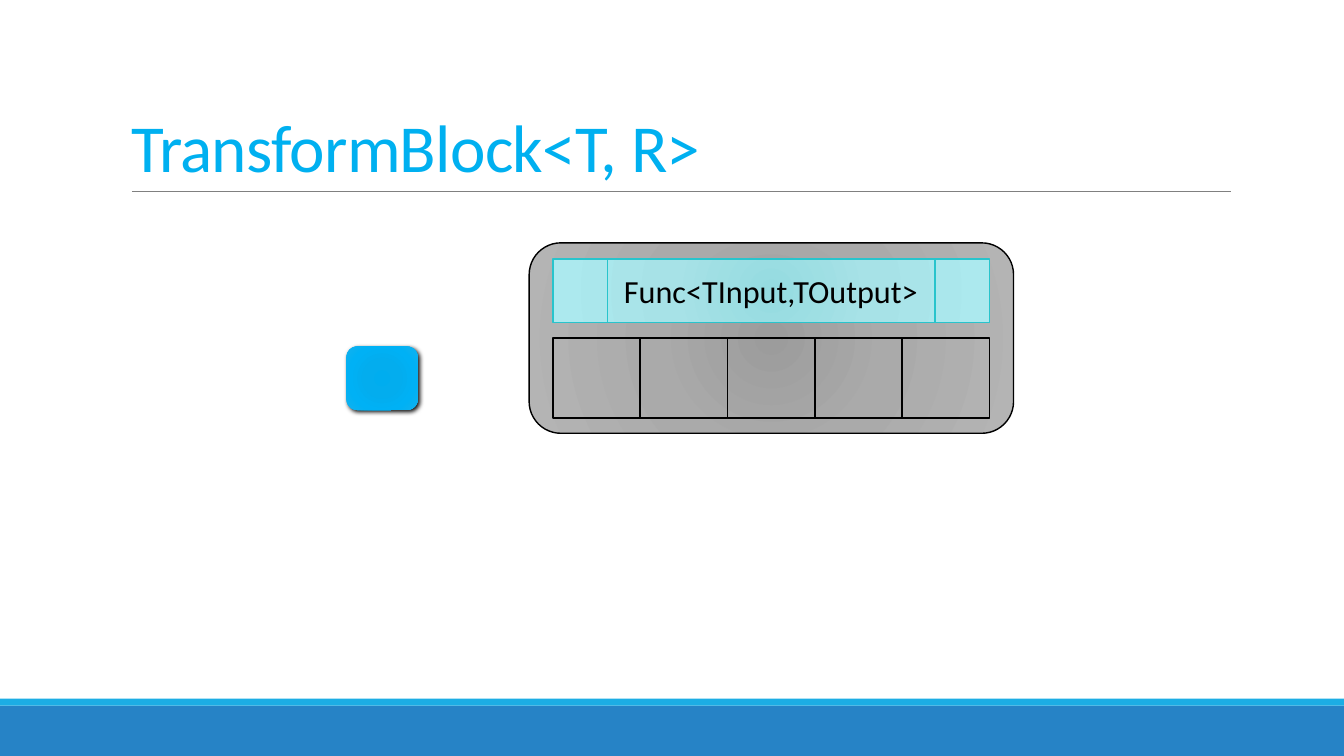
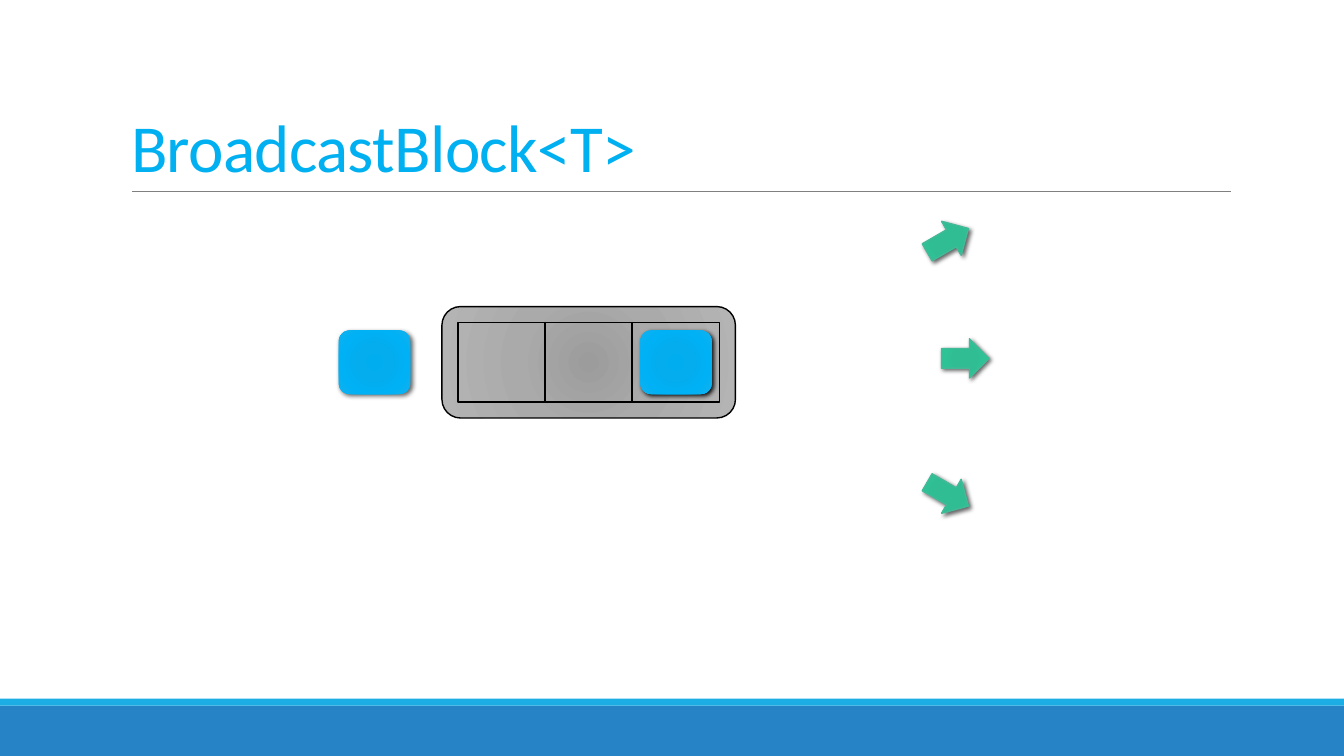
from pptx import Presentation
from pptx.dml.color import RGBColor
from pptx.enum.shapes import MSO_CONNECTOR, MSO_SHAPE
from pptx.enum.text import MSO_ANCHOR, PP_ALIGN
from pptx.oxml import parse_xml
from pptx.oxml.ns import nsdecls, qn
from pptx.util import Pt

FONT = "Calibri"
COLORS = {
    "title": "00B0F0",
    "rule": "808080",
    "footer": "2683C6",
    "stripe": "1CADE4",
    "outline": "000000",
    "func": "28C4CC",
    "arrow": "42BA97",
}
GRADIENTS = {
    "panel": [(0, "9C9C9C"), (45, "AAAAAA"), (100, "B4B4B4")],
    "func": [(0, "95DBE0"), (45, "A7E2E7"), (100, "ACE9EE")],
    "message": [(0, "00ADEF"), (34, "03ADEE"), (70, "00B1F5"), (100, "12B1EE")],
    "arrow": [(0, "2DBE94"), (34, "30BD94"), (70, "2EC397"), (100, "3CC09A")],
}
WIDTH, HEIGHT = 960, 540
CELL_W, CELL_H = 62.35, 57
MESSAGE_W, MESSAGE_H = 51, 45.4
ARROW_W, ARROW_H = 34, 28


def rgb(name):
    return RGBColor.from_string(COLORS[name])


def add_box(s, kind, left, top, width, height, fill=None, line=None, line_width=1):
    sp = s.shapes.add_shape(kind, Pt(left), Pt(top), Pt(width), Pt(height))
    sp.shadow.inherit = False
    if fill:
        sp.fill.solid()
        sp.fill.fore_color.rgb = rgb(fill)
    else:
        sp.fill.background()
    if line:
        sp.line.color.rgb = rgb(line)
        sp.line.width = Pt(line_width)
    else:
        sp.line.fill.background()
    return sp


def set_radial_fill(sp, name):
    """Replace the empty fill of a shape with a circular gradient."""
    stops = "".join(
        f'<a:gs pos="{pos * 1000}"><a:srgbClr val="{color}"/></a:gs>'
        for pos, color in GRADIENTS[name]
    )
    gradient = parse_xml(
        f'<a:gradFill {nsdecls("a")} rotWithShape="1"><a:gsLst>{stops}</a:gsLst>'
        '<a:path path="circle"><a:fillToRect l="100000" t="100000" r="100000" b="100000"/>'
        "</a:path></a:gradFill>"
    )
    spPr = sp.element.spPr
    spPr.replace(spPr.find(qn("a:noFill")), gradient)


def set_shadow(sp, blur, opacity=60):
    effects = sp.element.spPr.find(qn("a:effectLst"))
    effects.append(parse_xml(
        f'<a:outerShdw {nsdecls("a")} blurRad="{Pt(blur)}" dist="{Pt(2)}" dir="2700000" '
        f'algn="ctr" rotWithShape="0"><a:srgbClr val="000000">'
        f'<a:alpha val="{opacity * 1000}"/></a:srgbClr></a:outerShdw>'
    ))


def write(tf, text, size, color, anchor):
    tf.word_wrap = True
    tf.vertical_anchor = anchor
    p = tf.paragraphs[0]
    r = p.add_run()
    r.text = text
    r.font.name = FONT
    r.font.size = Pt(size)
    r.font.color.rgb = rgb(color)
    return p, r


def add_rule(s, left, right, y):
    rule = s.shapes.add_connector(MSO_CONNECTOR.STRAIGHT, Pt(left), Pt(y), Pt(right), Pt(y))
    rule.line.color.rgb = rgb("rule")
    rule.line.width = Pt(0.5)
    rule.element.spPr.append(parse_xml(f'<a:effectLst {nsdecls("a")}/>'))


def add_slide(prs, title):
    """Add a slide with the footer bands, title and title rule."""
    s = prs.slides.add_slide(prs.slide_layouts[6])
    add_box(s, MSO_SHAPE.RECTANGLE, 0, 504, WIDTH, 36, fill="footer")
    add_box(s, MSO_SHAPE.RECTANGLE, 0, 499, WIDTH, 5, fill="stripe")
    add_rule(s, 94.3, 879, 136.8)
    box = s.shapes.add_textbox(Pt(86.6), Pt(22.5), Pt(792), Pt(114.3))
    p, r = write(box.text_frame, title, 48, "title", MSO_ANCHOR.BOTTOM)
    p.line_spacing = 0.85
    r.font._element.set("spc", "-50")
    return s


def add_panel(s, left, top, width, height):
    sp = add_box(s, MSO_SHAPE.ROUNDED_RECTANGLE, left, top, width, height, line="outline")
    set_radial_fill(sp, "panel")


def add_queue(s, left, top, count):
    for i in range(count):
        add_box(s, MSO_SHAPE.RECTANGLE, left + i * CELL_W, top, CELL_W, CELL_H,
                line="outline", line_width=1.25)


def add_func(s, left, top, width, height, text):
    sp = add_box(s, MSO_SHAPE.FLOWCHART_PREDEFINED_PROCESS, left, top, width, height, line="func")
    set_radial_fill(sp, "func")
    p, _ = write(sp.text_frame, text, 23, "outline", MSO_ANCHOR.MIDDLE)
    p.alignment = PP_ALIGN.CENTER


def add_message(s, left, top, shadow_opacity=60):
    sp = add_box(s, MSO_SHAPE.ROUNDED_RECTANGLE, left, top, MESSAGE_W, MESSAGE_H)
    set_radial_fill(sp, "message")
    set_shadow(sp, 3.5, shadow_opacity)


def add_arrow(s, left, top, rotation):
    sp = add_box(s, MSO_SHAPE.RIGHT_ARROW, left, top, ARROW_W, ARROW_H, line="arrow")
    sp.rotation = rotation
    set_radial_fill(sp, "arrow")
    set_shadow(sp, 3)


def build_transform(prs):
    s = add_slide(prs, "TransformBlock<T, R>")
    queue_left, cells = 395, 5
    add_panel(s, 378, 173.5, 346, 136)
    add_queue(s, queue_left, 241.6, cells)
    add_func(s, queue_left, 185, cells * CELL_W, 45.4, "Func<TInput,TOutput>")
    add_message(s, 247.5, 247.5, shadow_opacity=94)


def build_broadcast(prs):
    s = add_slide(prs, "BroadcastBlock<T>")
    queue_left, queue_top, cells, pad = 327, 230.3, 3, 11.3
    add_panel(s, queue_left - pad, queue_top - pad,
              cells * CELL_W + 2 * pad, CELL_H + 2 * pad)
    add_queue(s, queue_left, queue_top, cells)
    message_top = queue_top + (CELL_H - MESSAGE_H) / 2
    last_cell = queue_left + (cells - 1) * CELL_W
    add_message(s, 242, message_top)
    add_message(s, last_cell + (CELL_W - MESSAGE_W) / 2, message_top, shadow_opacity=94)
    for left, top, rotation in [(660, 157.7, 330), (672.5, 242, 0), (660, 339, 30)]:
        add_arrow(s, left, top, rotation)


def main():
    prs = Presentation()
    prs.slide_width, prs.slide_height = Pt(WIDTH), Pt(HEIGHT)
    build_transform(prs)
    build_broadcast(prs)
    prs.save("out.pptx")


if __name__ == "__main__":
    main()
